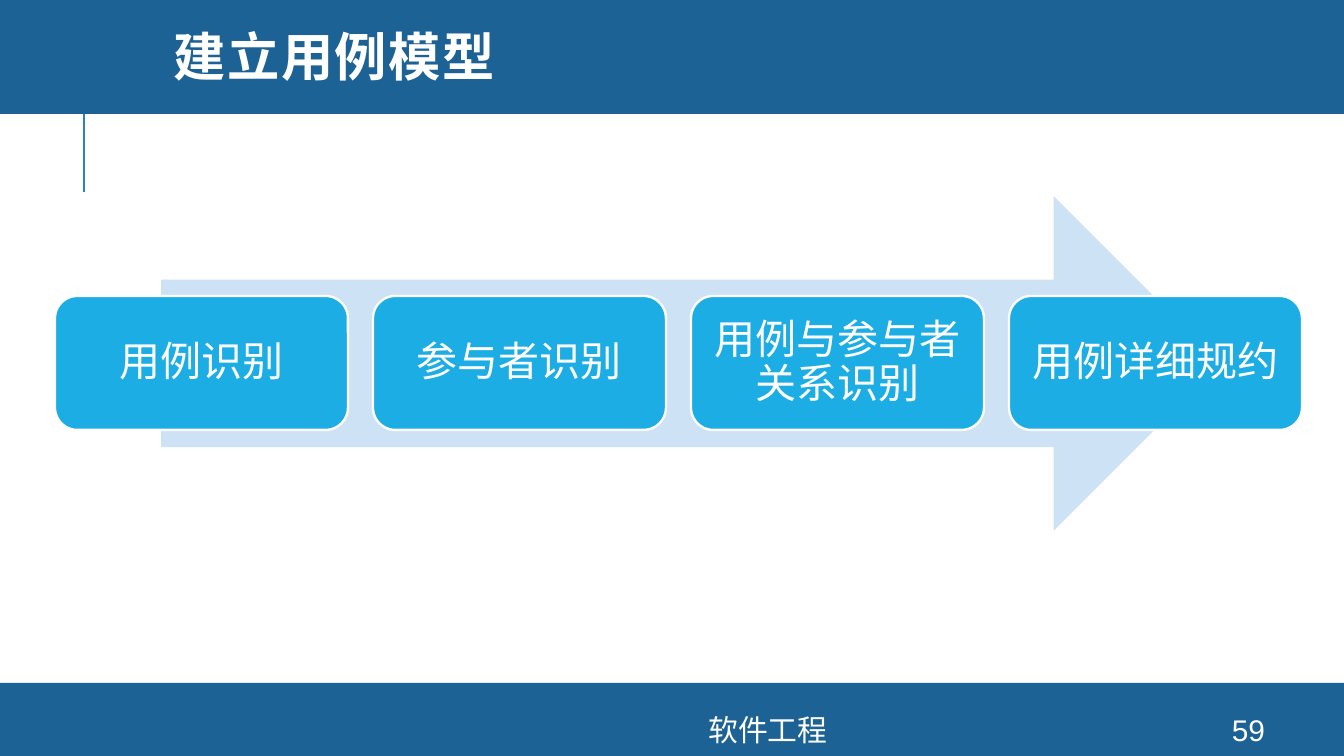
"""Build the use-case modelling slide: four steps along an arrow."""
from pptx import Presentation
from pptx import util as u
from pptx.dml.color import RGBColor
from pptx.enum import shapes, text
from pptx.oxml.ns import qn

PX = 914400 / 134.4
WHITE = "FFFFFF"
BAND = "1D6294"
STEPS = ["用例识别", "参与者识别", "用例与参与者关系识别", "用例详细规约"]
STEP_LEFT, STEP_PITCH = 55, 318


def px(*lengths):
    return [u.Emu(round(n * PX)) for n in lengths]


def color(value):
    return RGBColor.from_string(value)


def add_block(s, kind, box, fill, line=None):
    sp = s.shapes.add_shape(kind, *px(*box))
    sp.shadow.inherit = False
    sp.fill.solid()
    sp.fill.fore_color.rgb = color(fill)
    if line:
        sp.line.color.rgb = color(line)
        sp.line.width = u.Pt(1.25)
    else:
        sp.line.fill.background()
    return sp


def write(sp, words, size, font="Arial", bold=False, align=text.PP_ALIGN.CENTER,
          spacing=1.0, margins=(13, 0), tracking=0):
    tf = sp.text_frame
    tf.word_wrap = True
    tf.vertical_anchor = text.MSO_ANCHOR.MIDDLE
    side, edge = px(*margins)
    tf.margin_left = tf.margin_right = side
    tf.margin_top = tf.margin_bottom = edge
    p = tf.paragraphs[0]
    p.alignment = align
    p.line_spacing = spacing
    r = p.add_run()
    r.text = words
    r.font.name = font
    r.font.size = u.Pt(size)
    r.font.bold = bold
    r.font.color.rgb = color(WHITE)
    if tracking:
        r.font._element.set("spc", str(tracking))


def add_label(s, box, words, size, **style):
    write(s.shapes.add_textbox(*px(*box)), words, size, **style)


def add_rule(s, ends):
    line = s.shapes.add_connector(shapes.MSO_CONNECTOR.STRAIGHT, *px(*ends))
    line.line.color.rgb = color("2683C6")
    line.line.width = u.Pt(1.5)
    sp_pr = line._element.spPr
    sp_pr.append(sp_pr.makeelement(qn("a:effectLst"), {}))


def add_step(s, index, words):
    box = (STEP_LEFT + index * STEP_PITCH, 296, 293, 134)
    sp = add_block(s, shapes.MSO_SHAPE.ROUNDED_RECTANGLE, box, "1CADE4", WHITE)
    write(sp, words, 22, spacing=0.9, margins=(12, 12))


def main():
    prs = Presentation()
    prs.slide_width, prs.slide_height = px(1344, 756)
    s = prs.slides.add_slide(prs.slide_layouts[6])

    add_rule(s, (84, 192, 84, 91))
    add_block(s, shapes.MSO_SHAPE.RECTANGLE, (0, 683, 1344, 73), BAND)
    add_block(s, shapes.MSO_SHAPE.RECTANGLE, (0, -4, 1344, 118), BAND)
    add_label(s, (161, 0, 1141, 122), "建立用例模型", 28, font="Montserrat",
              bold=True, align=text.PP_ALIGN.LEFT, spacing=0.8, tracking=80)
    add_label(s, (351, 714, 834, 31), "软件工程", 16)
    add_label(s, (1195, 714, 107, 31), "59", 16)

    add_block(s, shapes.MSO_SHAPE.RIGHT_ARROW, (161, 196, 1060, 335), "CDE3F5")
    for index, words in enumerate(STEPS):
        add_step(s, index, words)

    prs.save("out.pptx")


if __name__ == "__main__":
    main()
